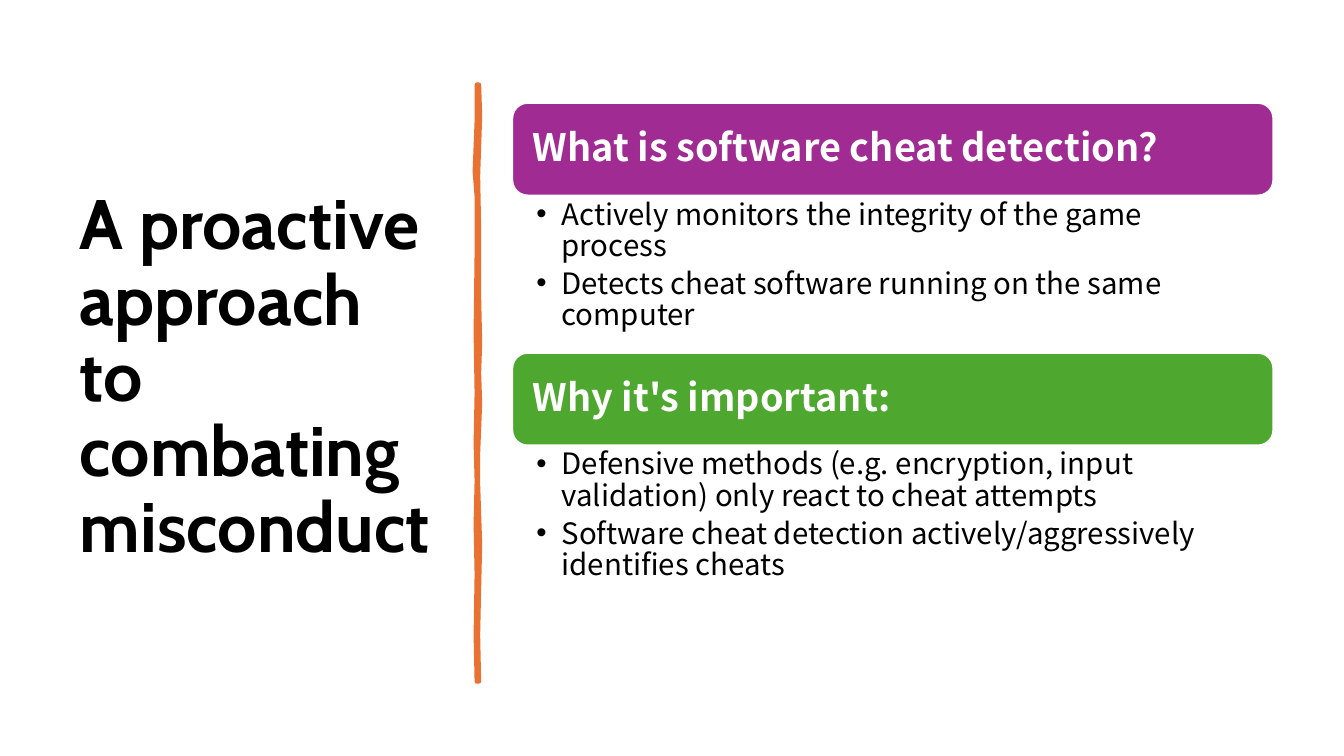
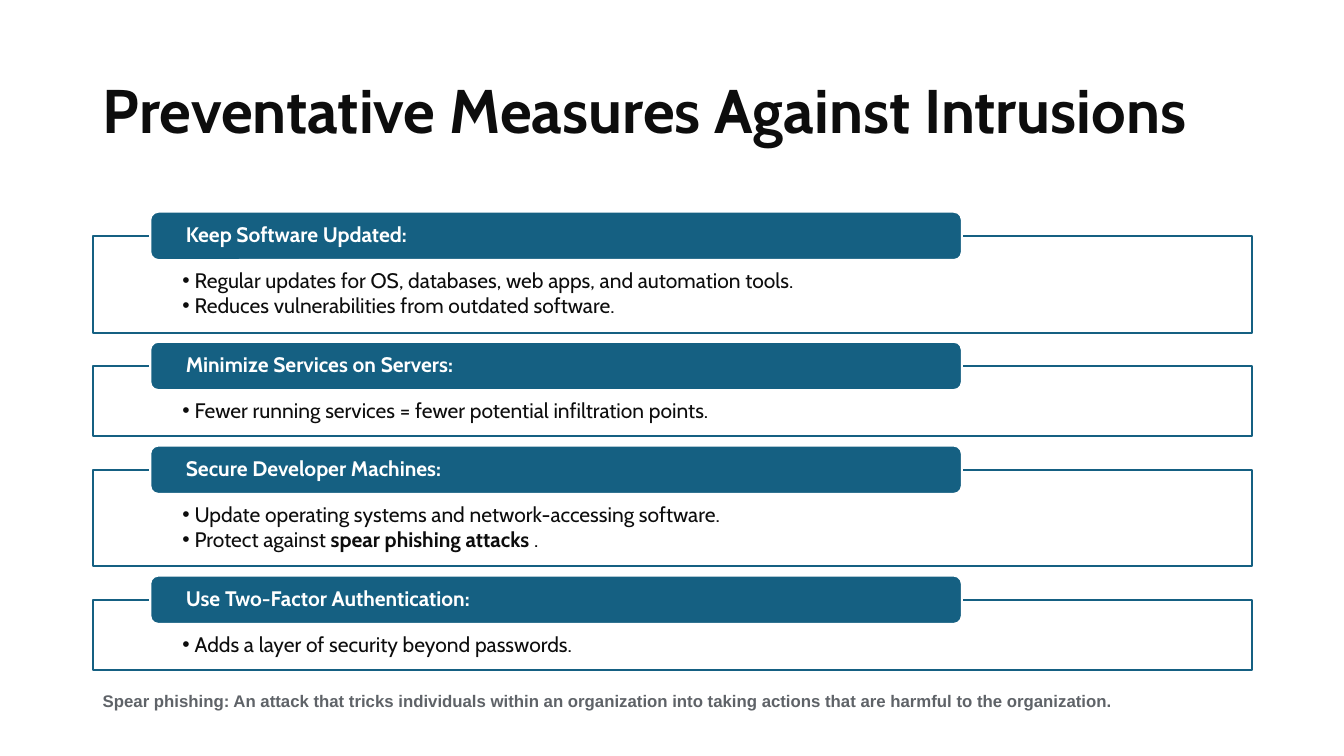
from dataclasses import dataclass
from typing import Sequence

from lxml.etree import SubElement
from pptx import Presentation
from pptx.dml.color import RGBColor
from pptx.enum.shapes import MSO_SHAPE
from pptx.enum.text import MSO_ANCHOR, MSO_AUTO_SIZE, PP_ALIGN
from pptx.oxml.ns import qn
from pptx.shapes.autoshape import Shape
from pptx.slide import Slide
from pptx.text.text import TextFrame
from pptx.util import Inches, Pt

WHITE = RGBColor(0xFF, 0xFF, 0xFF)
BLACK = RGBColor(0x00, 0x00, 0x00)
INK = RGBColor(0x0D, 0x0D, 0x0D)
GRAY = RGBColor(0x5F, 0x63, 0x68)
ORANGE = RGBColor(0xE9, 0x71, 0x32)
PURPLE = RGBColor(0xA0, 0x2B, 0x93)
GREEN = RGBColor(0x4E, 0xA7, 0x2E)
TEAL = RGBColor(0x15, 0x60, 0x82)

HEAD_FONT = "Cabin"
BODY_FONT = "Noto Sans CJK KR"
NOTE_FONT = "Arial"

Box = tuple[float, float, float, float]


@dataclass(frozen=True)
class Topic:
    head: str
    points: tuple[str, ...]
    color: RGBColor = TEAL


TOPICS = (
    Topic("What is software cheat detection?",
          ("Actively monitors the integrity of the game process",
           "Detects cheat software running on the same computer"), PURPLE),
    Topic("Why it's important:",
          ("Defensive methods (e.g. encryption, input validation) only react to cheat attempts",
           "Software cheat detection actively/aggressively identifies cheats"), GREEN),
)

STEPS = (
    Topic("Keep Software Updated:",
          ("Regular updates for OS, databases, web apps, and automation tools.",
           "Reduces vulnerabilities from outdated software.")),
    Topic("Minimize Services on Servers:",
          ("Fewer running services = fewer potential infiltration points.",)),
    Topic("Secure Developer Machines:",
          ("Update operating systems and network-accessing software.",
           "Protect against **spear phishing attacks** .")),
    Topic("Use Two-Factor Authentication:",
          ("Adds a layer of security beyond passwords.",)),
)

# Right edge downwards, then left edge upwards
STROKE = (
    (4.75, 0.84), (4.76, 1.15), (4.74, 1.75), (4.75, 2.26), (4.75, 2.94),
    (4.76, 3.4), (4.75, 3.7), (4.76, 4.0), (4.74, 4.5), (4.74, 4.8),
    (4.76, 5.4), (4.75, 5.84), (4.74, 6.3), (4.75, 6.76), (4.73, 6.76),
    (4.72, 6.3), (4.73, 5.7), (4.72, 5.2), (4.73, 4.77), (4.72, 4.4),
    (4.73, 3.9), (4.72, 3.3), (4.73, 2.5), (4.73, 1.95), (4.71, 1.7),
    (4.73, 1.2), (4.73, 0.84),
)


def write(frame: TextFrame, lines: Sequence[str], *, size: float, color: RGBColor,
          font: str = HEAD_FONT, bold: bool = False, hang: float = 0,
          after: float = 0, lead: float = 0.9,
          anchor: MSO_ANCHOR = MSO_ANCHOR.TOP,
          inset: Box = (0.1, 0.05, 0.1, 0.05)) -> None:
    """Fill a frame; **marked** words are bold, and a hang above 0 adds bullets."""
    frame.auto_size = MSO_AUTO_SIZE.NONE
    frame.word_wrap = True
    frame.vertical_anchor = anchor
    frame.margin_left, frame.margin_top, frame.margin_right, frame.margin_bottom = map(
        Inches, inset)
    for i, line in enumerate(lines):
        para = frame.add_paragraph() if i else frame.paragraphs[0]
        if hang:
            props = para._p.get_or_add_pPr()
            props.set("marL", str(Inches(hang)))
            props.set("indent", str(-Inches(hang)))
            SubElement(props, qn("a:buFont")).set("typeface", "Arial")
            SubElement(props, qn("a:buChar")).set("char", "•")
        para.alignment = PP_ALIGN.LEFT
        para.line_spacing = lead
        para.space_before = Pt(0)
        para.space_after = Pt(after)
        for j, part in enumerate(line.split("**")):
            run = para.add_run()
            run.text = part
            run.font.name = font
            run.font.size = Pt(size)
            run.font.bold = bold or j % 2 == 1
            run.font.color.rgb = color


def place(shape: Shape, box: Box) -> None:
    shape.left, shape.top, shape.width, shape.height = map(Inches, box)


def paint(shape: Shape, fill: RGBColor, line: RGBColor, width: float = 1.5) -> None:
    shape.shadow.inherit = False
    shape.fill.solid()
    shape.fill.fore_color.rgb = fill
    shape.line.color.rgb = line
    shape.line.width = Pt(width)


def block(slide: Slide, kind: MSO_SHAPE, box: Box, fill: RGBColor, line: RGBColor) -> Shape:
    shape = slide.shapes.add_shape(kind, *map(Inches, box))
    paint(shape, fill, line)
    return shape


def header(slide: Slide, topic: Topic, box: Box, *, size: float, font: str,
           pad: float) -> None:
    bar = block(slide, MSO_SHAPE.ROUNDED_RECTANGLE, box, topic.color, WHITE)
    write(bar.text_frame, [topic.head], size=size, color=WHITE, font=font, bold=True,
          anchor=MSO_ANCHOR.MIDDLE, inset=(pad, 0, pad, 0))


def title(slide: Slide, text: str, box: Box, size: float, color: RGBColor) -> None:
    place(slide.shapes.title, box)
    write(slide.shapes.title.text_frame, [text], size=size, color=color, bold=True,
          anchor=MSO_ANCHOR.MIDDLE)


def stroke(slide: Slide) -> None:
    """Draw the hand-drawn upright divider."""
    first, *rest = [(Inches(x), Inches(y)) for x, y in STROKE]
    pen = slide.shapes.build_freeform(*first)
    pen.add_line_segments(rest, close=True)
    shape = pen.convert_to_shape()
    paint(shape, ORANGE, ORANGE, 3.25)
    SubElement(shape._element.spPr.find(qn("a:ln")), qn("a:round"))


def detect(slide: Slide) -> None:
    title(slide, "A proactive approach to combating misconduct",
          (0.69, 0.7, 3.74, 6.11), 50, BLACK)
    stroke(slide)
    left, top, width, bar, pitch = 5.08, 1.02, 7.55, 0.92, 2.48
    for i, topic in enumerate(TOPICS):
        y = top + i * pitch
        header(slide, topic, (left, y, width, bar), size=27, font=BODY_FONT, pad=0.16)
        body = slide.placeholders[i + 1]
        place(body, (left, y + bar, width, pitch - bar))
        write(body.text_frame, topic.points, size=21, color=BLACK, font=BODY_FONT,
              hang=0.25, after=4, inset=(0.24, 0.04, 0.21, 0.04))


def prevent(slide: Slide) -> None:
    title(slide, "Preventative Measures Against Intrusions",
          (0.92, 0.4, 11.5, 1.45), 44, INK)
    left, y, gap = 0.92, 2.34, 0.33
    for step in STEPS:
        height = 0.44 + 0.26 * len(step.points)
        panel = block(slide, MSO_SHAPE.RECTANGLE, (left, y, 11.5, height), WHITE, TEAL)
        write(panel.text_frame, step.points, size=15, color=INK, hang=0.12, after=2,
              inset=(0.89, 0.34, 0.89, 0.12))
        header(slide, step, (1.49, y - 0.24, 8.05, 0.48), size=15, font=HEAD_FONT,
               pad=0.33)
        y += height + gap
    note = slide.shapes.add_textbox(*map(Inches, (left, 6.8, 10.92, 0.3)))
    write(note.text_frame,
          ["Spear phishing: An attack that tricks individuals within an organization "
           "into taking actions that are harmful to the organization."],
          size=12, color=GRAY, font=NOTE_FONT, bold=True, lead=1)


def main() -> None:
    deck = Presentation()
    deck.slide_width, deck.slide_height = Inches(13.33), Inches(7.5)
    pair, plain = deck.slide_layouts[3], deck.slide_layouts[5]
    detect(deck.slides.add_slide(pair))
    prevent(deck.slides.add_slide(plain))
    deck.save("out.pptx")


if __name__ == "__main__":
    main()
